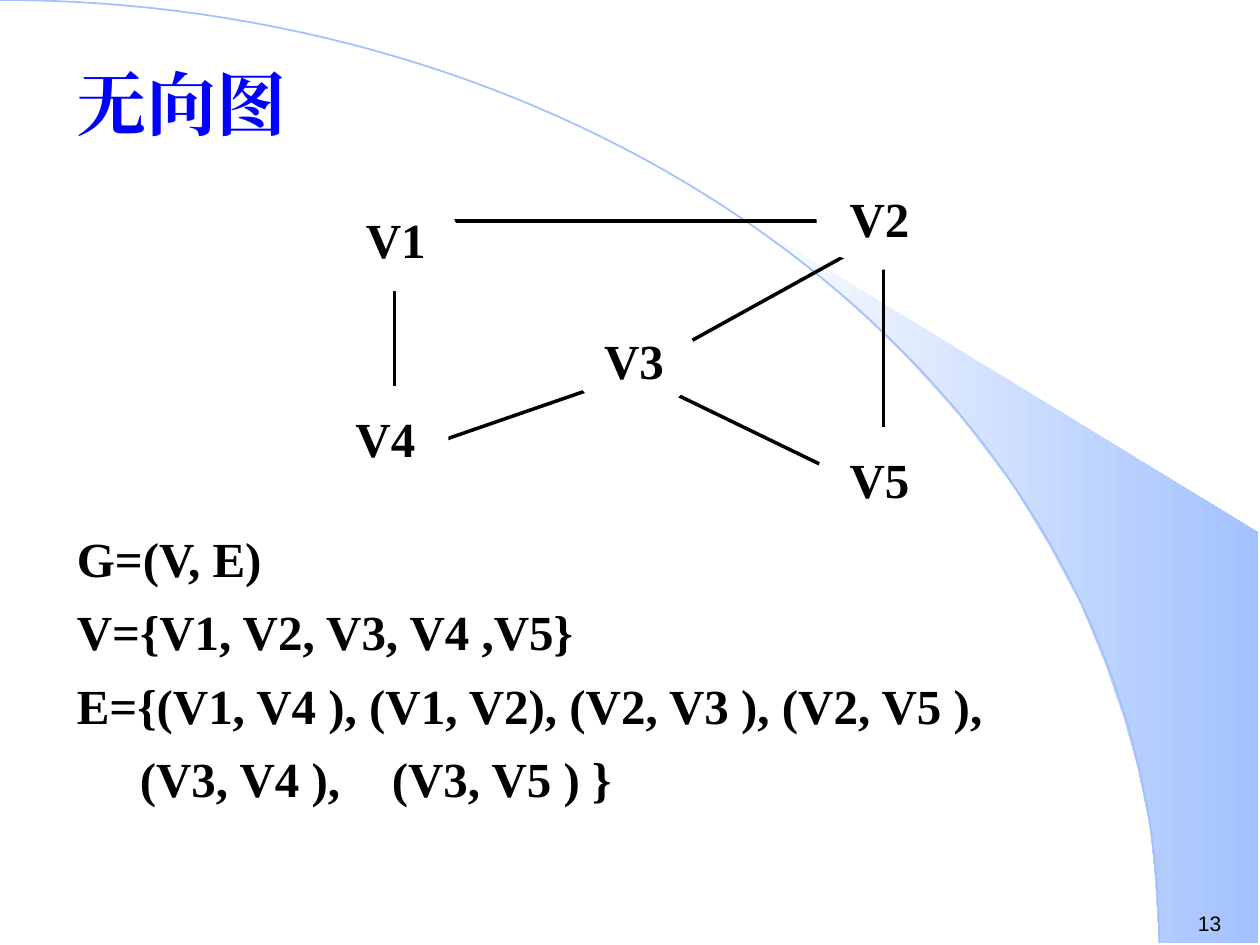
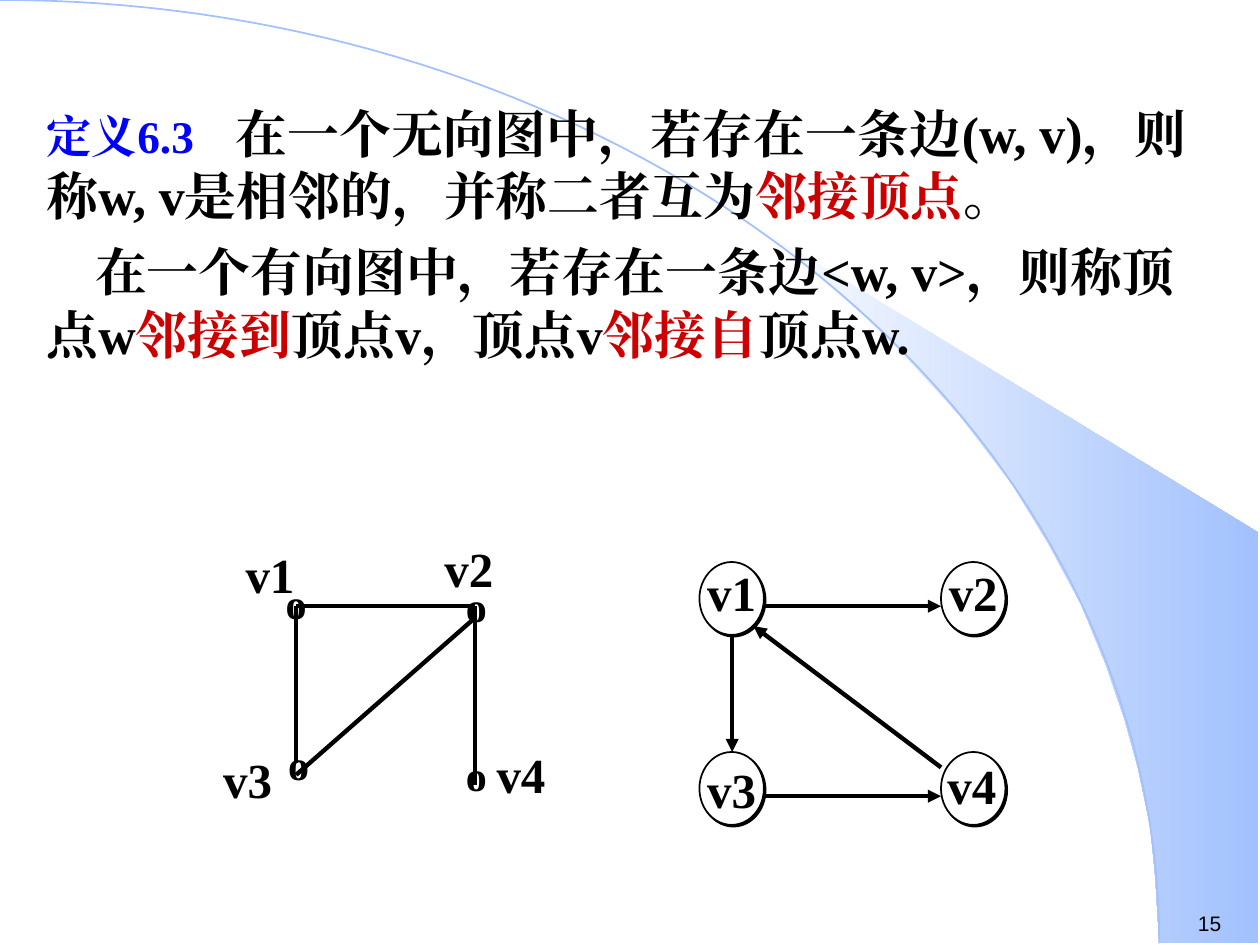
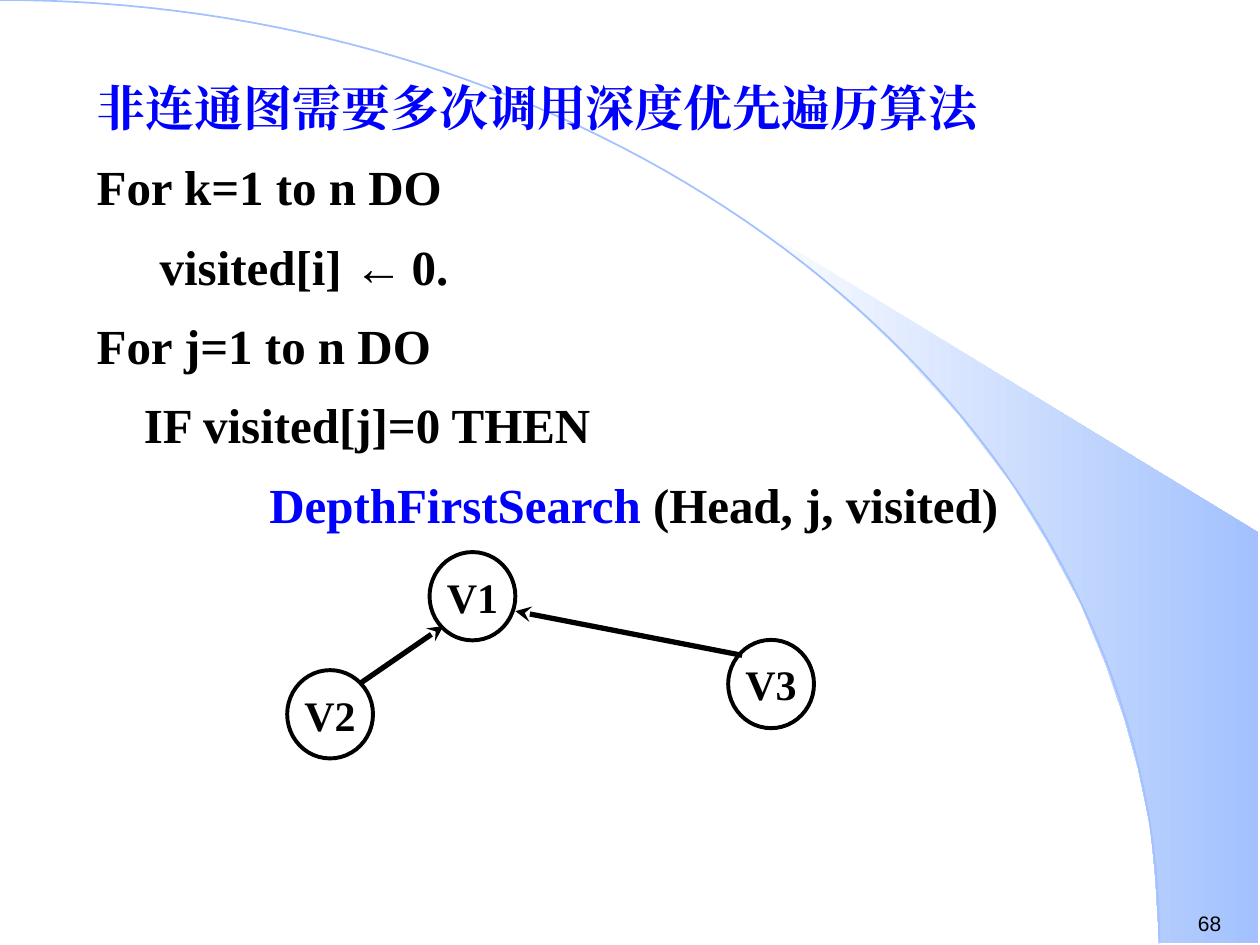
from math import cos, pi, sin

from lxml.etree import SubElement
from pptx import Presentation
from pptx.dml.color import RGBColor
from pptx.enum.shapes import MSO_CONNECTOR as Connector, MSO_SHAPE as Preset
from pptx.enum.text import MSO_ANCHOR as Anchor, PP_ALIGN as Align
from pptx.oxml.ns import qn
from pptx.util import Cm, Pt

BLACK = RGBColor(0x00, 0x00, 0x00)
WHITE = RGBColor(0xFF, 0xFF, 0xFF)
BLUE = RGBColor(0x00, 0x00, 0xFF)
RED = RGBColor(0xCC, 0x00, 0x00)
PALE_BLUE = RGBColor(0xA2, 0xC1, 0xFE)

SERIF = "Times New Roman"
SANS = "Arial"

ARC_WIDTH, ARC_HEIGHT, ARC_STEPS = 23.37, 19.02, 72
BAND_OUTLINE = [
    (23.37, 19), (25.37, 19.02), (25.37, 10.74), (14.96, 4.39), (15.85, 5.05),
    (16.59, 5.64), (17.4, 6.35), (18.19, 7.11), (19.35, 8.38), (20.4, 9.75),
    (21.13, 10.95), (21.79, 12.17), (22.3, 13.41), (22.68, 14.53),
    (22.94, 15.47), (23.19, 16.66), (23.29, 17.68),
]


def add_outline(slide, points, close):
    points = [(Cm(x), Cm(y)) for x, y in points]
    builder = slide.shapes.build_freeform(*points[0])
    builder.add_line_segments(points[1:], close=close)
    shape = builder.convert_to_shape()
    shape.shadow.inherit = False
    return shape


def add_run(paragraph, text, size, color=BLACK, font=SERIF, bold=True):
    run = paragraph.add_run()
    run.text = text
    run.font.size = Pt(size)
    run.font.bold = bold
    run.font.color.rgb = color
    run.font.name = font
    SubElement(run.font._element, qn("a:ea")).set("typeface", font)


def format_paragraph(paragraph, indent=0, first_line=0, tabs=()):
    properties = paragraph._p.get_or_add_pPr()
    properties.set("marL", str(Cm(indent)))
    properties.set("indent", str(Cm(first_line)))
    if tabs:
        tab_list = SubElement(properties, qn("a:tabLst"))
        for position in tabs:
            SubElement(tab_list, qn("a:tab"), pos=str(Cm(position)), algn="l")


def add_text_box(slide, box, inset=True, wrap=True):
    frame = slide.shapes.add_textbox(*map(Cm, box)).text_frame
    frame.word_wrap = wrap
    if not inset:
        frame.margin_left = frame.margin_right = 0
        frame.margin_top = frame.margin_bottom = 0
    return frame


def add_label(slide, text, box, size=28, align=Align.LEFT, **options):
    paragraph = add_text_box(slide, box, **options).paragraphs[0]
    paragraph.alignment = align
    add_run(paragraph, text, size)


def add_body(slide, box, paragraphs, space_before, line_spacing=1.0):
    frame = add_text_box(slide, box)
    for index, (layout, runs) in enumerate(paragraphs):
        paragraph = frame.add_paragraph() if index else frame.paragraphs[0]
        format_paragraph(paragraph, **layout)
        paragraph.line_spacing = line_spacing
        if index:
            paragraph.space_before = Pt(space_before)
        for run in runs:
            add_run(paragraph, *run)


def add_node(slide, preset, box, text="", size=28, fill=None, line_width=None):
    shape = slide.shapes.add_shape(preset, *map(Cm, box))
    shape.shadow.inherit = False
    if fill is None:
        shape.fill.background()
    else:
        shape.fill.solid()
        shape.fill.fore_color.rgb = fill
    if line_width is None:
        shape.line.fill.background()
    else:
        shape.line.color.rgb = BLACK
        shape.line.width = Pt(line_width)
    if text:
        frame = shape.text_frame
        frame.word_wrap = False
        frame.vertical_anchor = Anchor.MIDDLE
        frame.paragraphs[0].alignment = Align.CENTER
        add_run(frame.paragraphs[0], text, size)
    return shape


def add_hard_shadow(shape):
    effects = shape._element.spPr.find(qn("a:effectLst"))
    shadow = SubElement(effects, qn("a:outerShdw"), dist=str(Pt(1.4)),
                        dir="2700000", algn="ctr", rotWithShape="0")
    SubElement(shadow, qn("a:srgbClr"), val=str(BLACK))


def add_edges(slide, edges, width, arrow=None):
    for start, end in edges:
        edge = slide.shapes.add_connector(
            Connector.STRAIGHT, *map(Cm, start), *map(Cm, end))
        edge.line.color.rgb = BLACK
        edge.line.width = Pt(width)
        if arrow:
            SubElement(edge.line._get_or_add_ln(), qn("a:tailEnd"), type=arrow)
        SubElement(edge._element.spPr, qn("a:effectLst"))


def add_slide(presentation, number):
    slide = presentation.slides.add_slide(presentation.slide_layouts[6])
    band = add_outline(slide, BAND_OUTLINE, True)
    band.line.fill.background()
    band.fill.gradient()
    band.fill.gradient_angle = 0
    for stop, color, position in zip(
            band.fill.gradient_stops, (WHITE, PALE_BLUE), (0, 1)):
        stop.color.rgb = color
        stop.position = position

    angles = [step * pi / 2 / ARC_STEPS for step in range(ARC_STEPS + 1)]
    arc = add_outline(slide, [(ARC_WIDTH * sin(angle), ARC_HEIGHT * (1 - cos(angle)))
                              for angle in angles], False)
    arc.fill.background()
    arc.line.color.rgb = PALE_BLUE
    arc.line.width = Pt(1)

    frame = add_text_box(slide, (23.9, 18.24, 1.5, 0.76))
    add_run(frame.paragraphs[0], str(number), 12, font=SANS, bold=False)
    return slide


def build_undirected_graph(presentation):
    slide = add_slide(presentation, 13)
    title = add_text_box(slide, (1.3, 1.12, 10.39, 1.88))
    title.vertical_anchor = Anchor.MIDDLE
    add_run(title.paragraphs[0], "无向图", 40, BLUE)
    add_body(slide, (1.3, 10.52, 19.2, 6.6), [
        ({}, [("G=(V, E)", 28)]),
        ({}, [("V={V1, V2, V3, V4 ,V5}", 28)]),
        ({}, [("E={(V1, V4 ), (V1, V2), (V2, V3 ), (V2, V5 ),", 28)]),
        ({"tabs": (1.74, 6.51)}, [("\t(V3, V4 ),\t(V3, V5 ) }", 28)]),
    ], 8.4)
    add_edges(slide, [
        ((7.95, 5.72), (7.95, 8.23)),
        ((9.07, 4.45), (16.89, 4.45)),
        ((17.81, 5.41), (17.81, 8.86)),
        ((16.76, 9.47), (13.69, 7.98)),
        ((17.12, 5.11), (13.72, 6.99)),
        ((12.04, 7.8), (8.97, 8.86)),
    ], 2)
    for name, left, top in [
        ("V1", 6.71, 3.76), ("V4", 6.5, 7.77), ("V3", 11.51, 6.2),
        ("V2", 16.46, 3.33), ("V5", 16.46, 8.61),
    ]:
        vertex = add_node(slide, Preset.OVAL_CALLOUT, (left, top, 2.54, 2.11),
                          name, fill=WHITE)
        vertex.adjustments[0] = -0.25
        vertex.adjustments[1] = 0.4


def add_directed_example(slide):
    left, right, upper, lower = 14.1, 18.97, 11.33, 15.16
    for x, y, name in [(left, lower, "v3"), (right, lower, ""),
                       (left, upper, ""), (right, upper, "")]:
        add_hard_shadow(add_node(slide, Preset.OVAL, (x, y, 1.3, 1.47),
                                 name, fill=WHITE, line_width=1))
    add_label(slide, "v4", (18.85, 15.11, 1.63, 1.45))
    for name, x in [("v1", left), ("v2", right)]:
        add_label(slide, name, (x, upper, 1.3, 1.19),
                  align=Align.CENTER, inset=False)
    add_edges(slide, [
        ((15.39, 12.22), (right, 12.22)),
        ((14.76, 12.8), (14.76, lower)),
        ((15.39, 16.05), (right, 16.05)),
        ((right, 15.47), (15.19, 12.62)),
    ], 2.5, "triangle")


def add_undirected_example(slide):
    left, right, top = 5.97, 9.58, 12.22
    for x, y in [(5.51, 11.51), (9.14, 11.58), (9.14, 14.99), (5.56, 14.76)]:
        add_label(slide, "o", (x, y, 0.91, 1.27), 24, wrap=False)
    add_edges(slide, [
        ((left, top), (right, top)),
        ((left, top), (left, 15.39)),
        ((left, 15.62), (right, 12.45)),
        ((right, top), (right, 15.82)),
    ], 2.5)
    for name, x, y in [("v1", 4.7, 10.85), ("v2", 8.71, 10.74)]:
        add_label(slide, name, (x, y, 1.7, 1.45))
    for name, x, y in [("v3", 4.5, 15.11), ("v4", 10.01, 15.01)]:
        add_label(slide, name, (x, y, 1.19, 1.19), inset=False)


def build_adjacency(presentation):
    slide = add_slide(presentation, 15)
    size = 29.6
    add_body(slide, (0.69, 1.93, 24, 8.51), [
        ({"tabs": (3.9,)}, [
            ("定义6.3\t", 25.9, BLUE),
            ("在一个无向图中，若存在一条边(w, v)，则称w, v是相邻的，并称二者互为", size),
            ("邻接顶点", size, RED),
            ("。", size),
        ]),
        ({"first_line": 0.98}, [
            ("在一个有向图中，若存在一条边<w, v>，则称顶点w", size),
            ("邻接到", size, RED),
            ("顶点v，顶点v", size),
            ("邻接自", size, RED),
            ("顶点w.", size),
        ]),
    ], 8)
    add_directed_example(slide)
    add_undirected_example(slide)


def build_depth_first_calls(presentation):
    slide = add_slide(presentation, 68)
    add_body(slide, (1.7, 1.32, 19, 14.4), [
        ({}, [("非连通图需要多次调用深度优先遍历算法", 28, BLUE)]),
        ({}, [("For k=1 to n DO", 28)]),
        ({"tabs": (0.95, 6.35)}, [
            ("\tvisited[i] ", 28), ("←", 28, BLACK, SANS), ("\t0.", 28)]),
        ({}, [("For j=1 to n DO", 28)]),
        ({"indent": 0.95}, [("IF visited[j]=0 THEN", 28)]),
        ({"indent": 3.48}, [
            ("DepthFirstSearch ", 28, BLUE), ("(Head, j, visited)", 28)]),
    ], 8.4, 1.1)
    for name, left, top in [
        ("V1", 8.66, 11.13), ("V2", 5.79, 13.51), ("V3", 14.68, 12.9),
    ]:
        add_node(slide, Preset.FLOWCHART_CONNECTOR, (left, top, 1.73, 1.78),
                 name, 24, line_width=2.25)
    add_edges(slide, [
        ((7.24, 13.79), (8.94, 12.62)),
        ((14.96, 13.21), (10.39, 12.32)),
    ], 3, "stealth")


def main():
    presentation = Presentation()
    presentation.slide_width = Cm(25.4)
    presentation.slide_height = Cm(19.05)
    build_undirected_graph(presentation)
    build_adjacency(presentation)
    build_depth_first_calls(presentation)
    presentation.save("out.pptx")


if __name__ == "__main__":
    main()
